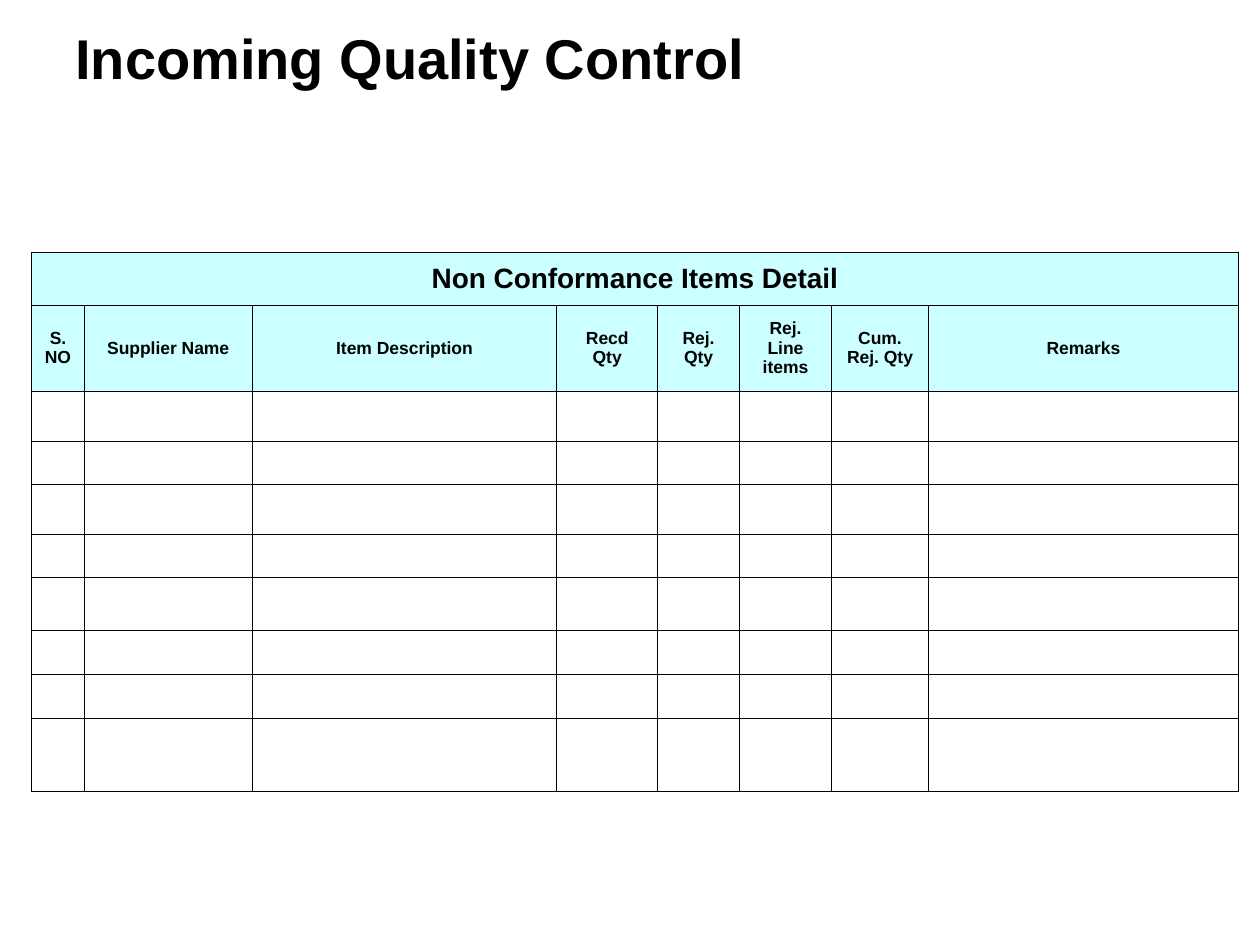
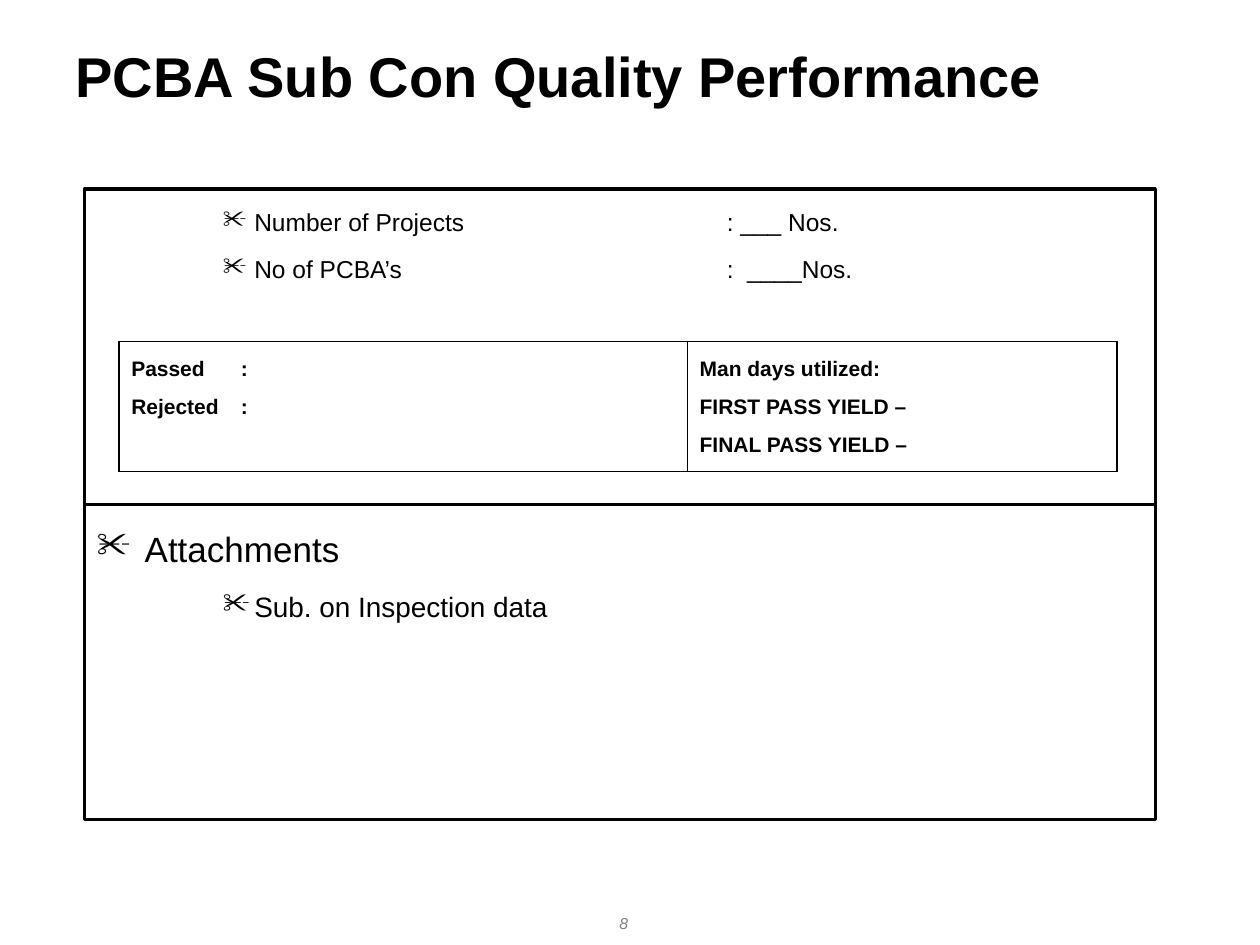
from collections import namedtuple
from lxml import etree
from pptx import Presentation, util as u
from pptx.dml.color import RGBColor
from pptx.enum import shapes, text
from pptx.oxml import ns

BLACK = RGBColor(0, 0, 0)
GREY = RGBColor(0x80, 0x80, 0x80)
CYAN = RGBColor(0xCC, 0xFF, 0xFF)
FONT = "Arial"
WIDTH, HEIGHT = u.Inches(10), u.Inches(7.5)
THIN, MEDIUM, THICK = 0.45, 1.08, 1.76
TITLE_SHARES = (0.05, 0.9, 0.12)
MIDDLE, CENTER = text.MSO_ANCHOR.MIDDLE, text.PP_ALIGN.CENTER

Box = namedtuple("Box", "left top width height")
PAGE = Box(0, 0, WIDTH, HEIGHT)


def part(box, left, top, width, height):
    """Return the part of a box given as shares of its size."""
    return Box(int(box.left + left * box.width), int(box.top + top * box.height),
               int(width * box.width), int(height * box.height))


def child(parent, tag, **attributes):
    """Append a drawing element to its parent."""
    return etree.SubElement(parent, ns.qn("a:" + tag), attributes)


def set_font(para, size, bold=False, italic=False, color=BLACK):
    """Give a paragraph its font."""
    font = para.font
    font.name, font.size, font.bold, font.italic = FONT, u.Pt(size), bold, italic
    font.color.rgb = color


def set_spacing(para, before):
    """Give a paragraph the wide line spacing of the report body."""
    para.line_spacing = 1.4
    para.space_before = u.Pt(before)


def add_tab(para, position):
    """Set one left tab stop, in inches."""
    stops = child(para._p.get_or_add_pPr(), "tabLst")
    child(stops, "tab", pos=str(u.Inches(position)), algn="l")


def add_bullet(para, indent, hanging):
    """Put a scissors bullet before a paragraph."""
    properties = para._p.get_or_add_pPr()
    properties.set("marL", str(u.Inches(indent)))
    properties.set("indent", str(-u.Inches(hanging)))
    child(child(properties, "buClr"), "srgbClr", val=str(BLACK))
    child(properties, "buChar", char="✂")


def add_label(page, box, words, size, anchor, align=None, **style):
    """Write one line of text in a box."""
    frame = page.shapes.add_textbox(*box).text_frame
    frame.word_wrap = True
    frame.vertical_anchor = anchor
    para = frame.paragraphs[0]
    para.text, para.alignment = words, align
    set_font(para, size, **style)


def add_title(page, words, top=0):
    """Write the slide title, moved down by a share of the height."""
    left, width, height = TITLE_SHARES
    add_label(page, part(PAGE, left, top, width, height), words, 32, MIDDLE, bold=True)


def add_page_number(page, number):
    """Write the page number at the foot."""
    add_label(page, part(PAGE, 0.38, 0.96, 0.23, 0.03), number, 9,
              text.MSO_ANCHOR.TOP, CENTER, italic=True, color=GREY)


def set_borders(cell, **widths):
    """Draw the four borders of a cell, in points by side."""
    properties = cell._tc.get_or_add_tcPr()
    for place, side in enumerate("LRTB"):
        line = child(properties, "ln" + side, w=str(u.Pt(widths.get(side, THIN))))
        child(child(line, "solidFill"), "srgbClr", val=str(BLACK))
        properties.insert(place, line)


def add_grid(page, box, columns, rows):
    """Add an unstyled table whose columns and rows share the box."""
    table = page.shapes.add_table(len(rows), len(columns), *box).table
    table.first_row = table.horz_banding = False
    for column, share in zip(table.columns, columns):
        column.width = int(box.width * share / sum(columns))
    for row, share in zip(table.rows, rows):
        row.height = int(box.height * share / sum(rows))
    return table


def fill_heading(cell, words, size):
    """Fill a coloured heading cell."""
    cell.fill.solid()
    cell.fill.fore_color.rgb = CYAN
    cell.vertical_anchor = MIDDLE
    para = cell.text_frame.paragraphs[0]
    para.text, para.alignment = words, CENTER
    set_font(para, size, bold=True)


def add_item_table(page, box):
    """Place the empty form for rejected items."""
    columns = (0.42, 1.33, 2.42, 0.8, 0.65, 0.73, 0.77, 2.46)
    rows = (0.42, 0.68, 0.4, 0.34, 0.4, 0.34, 0.42, 0.35, 0.35, 0.58)
    headings = ("S.NO", "Supplier Name", "Item Description", "Recd Qty", "Rej. Qty",
                "Rej. Line items", "Cum. Rej. Qty", "Remarks")
    table = add_grid(page, box, columns, rows)
    for cell in table.iter_cells():
        cell.fill.background()
        set_borders(cell)
    table.cell(0, 0).merge(table.cell(0, len(columns) - 1))
    fill_heading(table.cell(0, 0), "Non Conformance Items Detail", 16)
    for column, words in enumerate(headings):
        fill_heading(table.cell(1, column), words, 10)
        for row in range(2, len(rows)):
            cell = table.cell(row, column)
            cell.margin_top = cell.margin_bottom = 0
            set_font(cell.text_frame.paragraphs[0], 10)


def add_panel(page, box, items):
    """Place a framed list of (words, size, space before, level) items."""
    panel = page.shapes.add_shape(shapes.MSO_SHAPE.RECTANGLE, *box)
    panel.shadow.inherit = False
    panel.fill.background()
    panel.line.color.rgb = BLACK
    panel.line.width = u.Pt(THICK)
    frame = panel.text_frame
    frame.vertical_anchor = text.MSO_ANCHOR.TOP
    for place, (words, size, before, level) in enumerate(items):
        para = frame.add_paragraph() if place else frame.paragraphs[0]
        para.text, para.level, para.alignment = words, level, text.PP_ALIGN.LEFT
        set_spacing(para, before)
        add_bullet(para, *((1.25, 0.25) if level else (0.38, 0.38)))
        add_tab(para, 5)
        set_font(para, size)


def add_yield_table(page, box):
    """Place the table of inspection results."""
    table = add_grid(page, box, (4.51, 3.41), (1,))
    contents = (("Passed\t:", "Rejected\t:"),
                ("Man days utilized: ", "FIRST PASS YIELD – ", "FINAL PASS YIELD – "))
    for cell, lines, outer in zip(table.iter_cells(), contents, "LR"):
        cell.fill.background()
        set_borders(cell, T=MEDIUM, B=MEDIUM, **{outer: MEDIUM})
        cell.text_frame.text = "\n".join(lines)
        for para in cell.text_frame.paragraphs:
            set_spacing(para, 3)
            add_tab(para, 0.87)
            set_font(para, 12, bold=True)


def add_report(page, box):
    """Place the two stacked panels and the results table in the upper one."""
    add_panel(page, part(box, 0, 0, 1, 0.5),
              [("Number of Projects\t: ___ Nos.", 14, 3.5, 2),
               ("No of PCBA’s\t:  ____Nos.", 14, 3.5, 2)])
    add_panel(page, part(box, 0, 0.5, 1, 0.5),
              [("Attachments", 20, 5, 0), ("Sub. on Inspection data", 16, 4, 2)])
    add_yield_table(page, part(box, 0.032, 0.242, 0.932, 0.206))


def main():
    """Build and save the deck."""
    deck = Presentation()
    deck.slide_width, deck.slide_height = WIDTH, HEIGHT
    blank = deck.slide_layouts[6]

    page = deck.slides.add_slide(blank)
    add_title(page, "Incoming Quality Control")
    add_item_table(page, part(PAGE, 0.025, 0.267, 0.958, 0.571))

    page = deck.slides.add_slide(blank)
    add_page_number(page, "8")
    add_title(page, "PCBA Sub Con Quality Performance", 0.02)
    add_report(page, part(PAGE, 0.067, 0.2, 0.85, 0.667))

    deck.save("out.pptx")


main()
